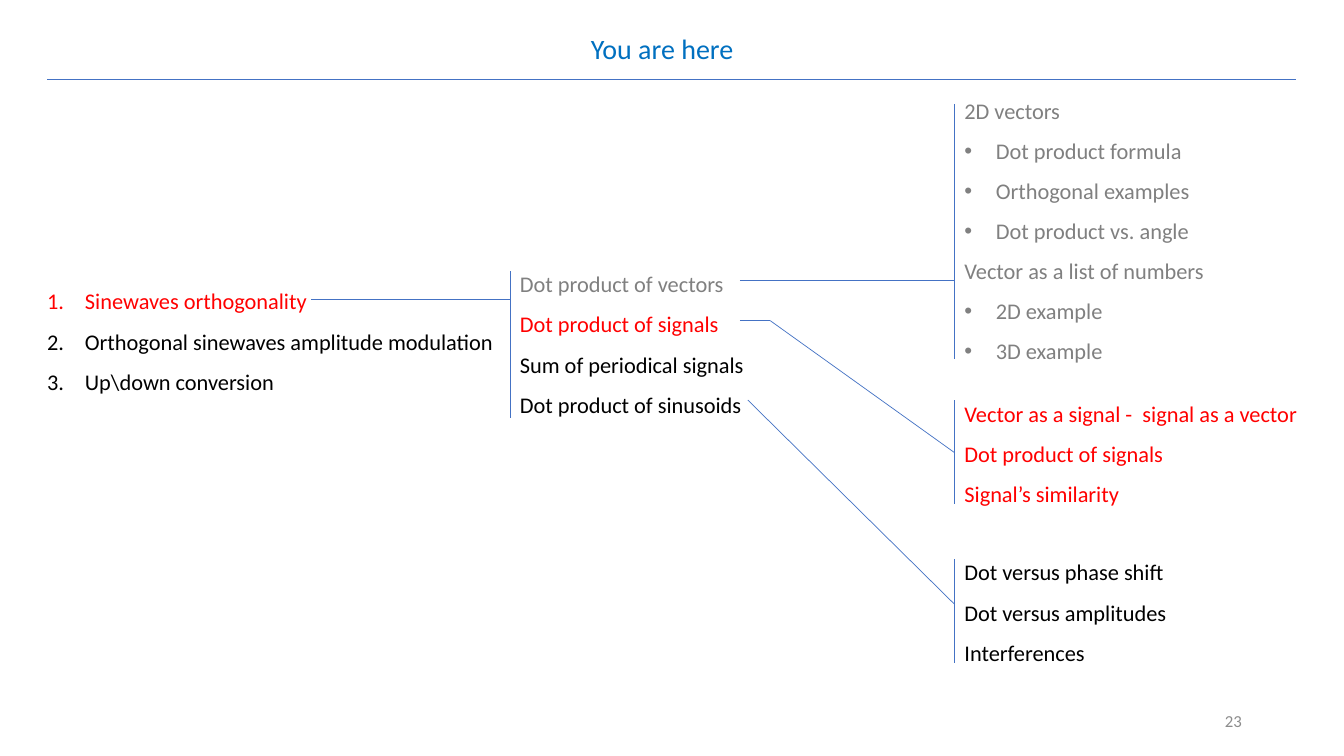
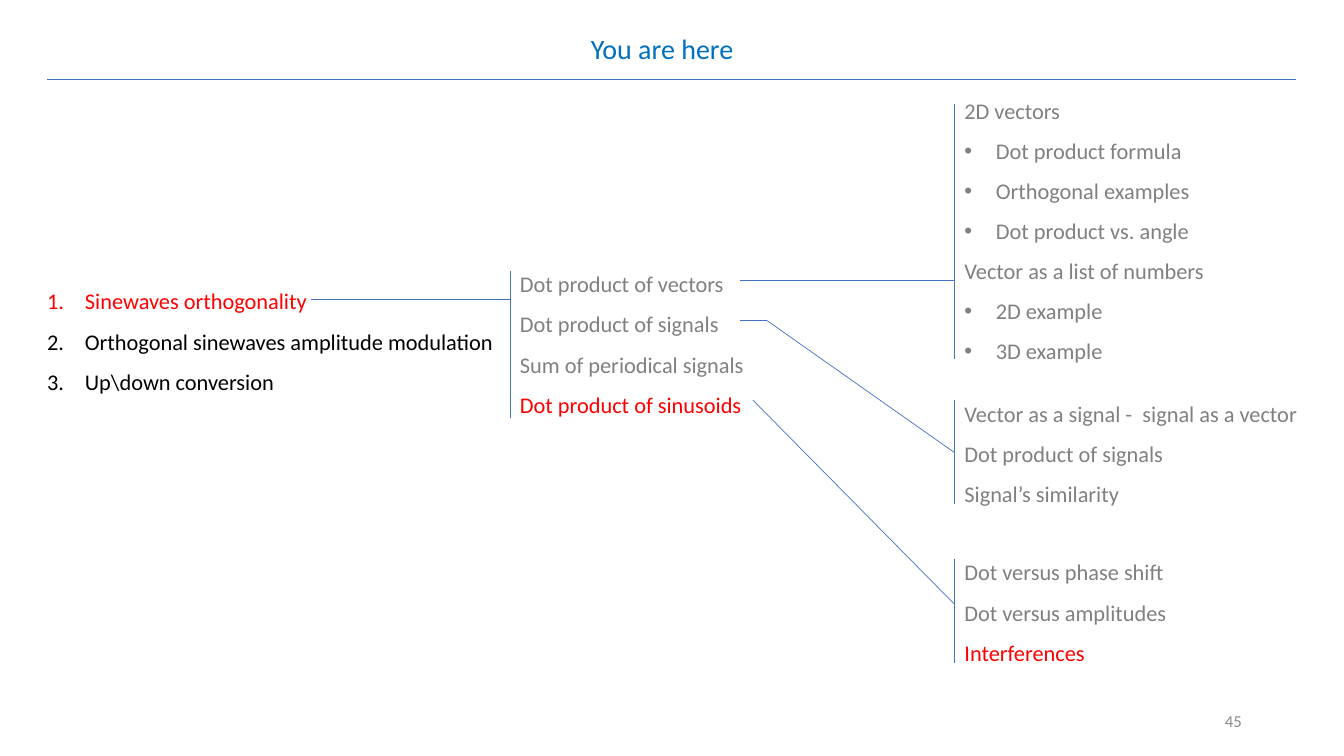
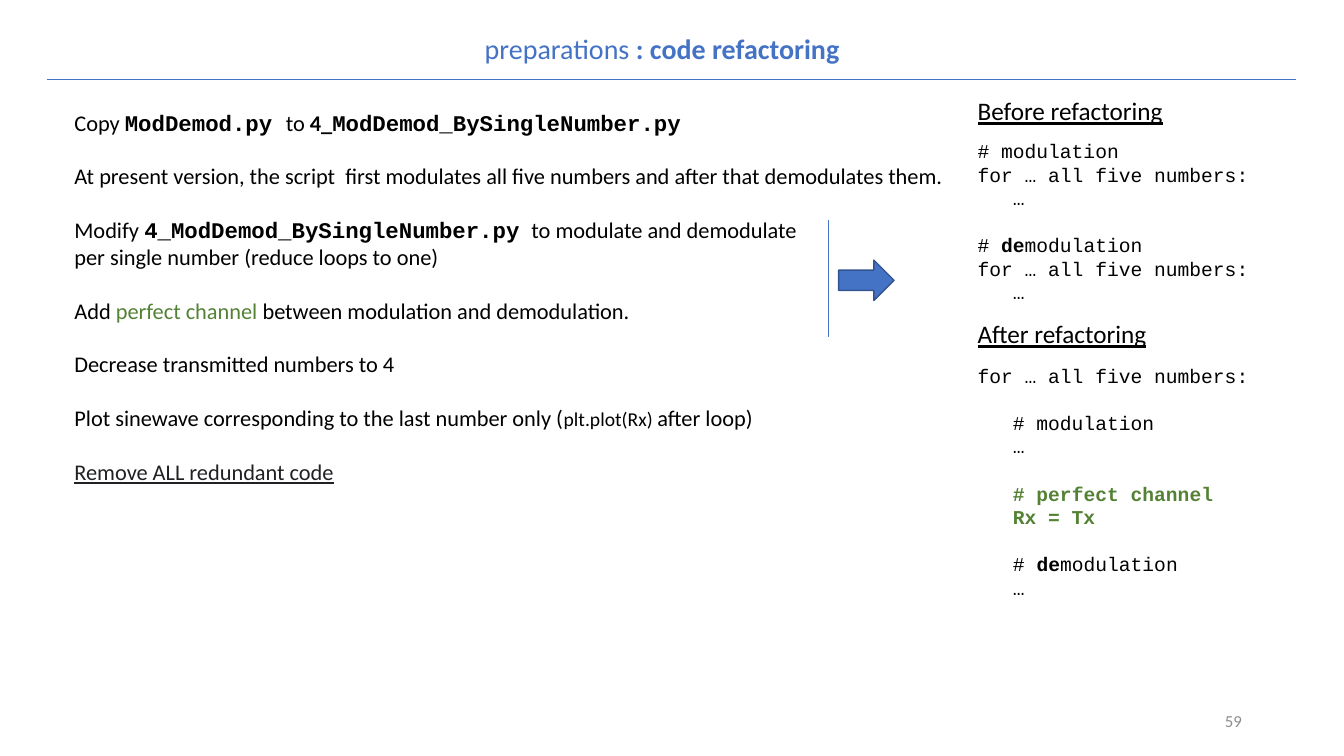
"""Builds two lecture roadmap slides and one code refactoring slide."""
from lxml.etree import SubElement
from pptx import Presentation
from pptx.dml.color import RGBColor
from pptx.enum.shapes import MSO_CONNECTOR as Connector, MSO_SHAPE as Shape
from pptx.enum.text import MSO_ANCHOR as Anchor, MSO_AUTO_SIZE as AutoSize, PP_ALIGN as Align
from pptx.oxml.ns import qn
from pptx.util import Pt

COLORS = {
    "title": "0070C0", "accent": "4472C4", "edge": "325491", "done": "808080",
    "here": "FF0000", "next": "000000", "channel": "548235", "ink": "202124",
    "number": "8C8C8C",
}
SANS, MONO = "Calibri", "Courier New"
BRANCH_X, STEM_X, CODE_X = 681.8, 364.3, 691.2
GAP, CODE_GAP = 19.2, 16.8
BULLETS = {"dot": (22.5, "a:buChar", {"char": "•"}),
           "number": (27, "a:buAutoNum", {"type": "arabicPeriod"})}
LOOSE = {"line_spacing": 1.5}
SPACED = {"line_spacing": 1.07, "space_after": Pt(8)}


def rgb(name):
    return RGBColor.from_string(COLORS[name])


def span(text, **style):
    return text, style


def line(*spans, gap=0, bullet=None):
    return spans, gap, bullet


def add_bullet(para, kind):
    indent, tag, attributes = BULLETS[kind]
    properties = para._p.get_or_add_pPr()
    properties.set("marL", str(Pt(indent)))
    properties.set("indent", str(-Pt(indent)))
    SubElement(properties, qn("a:buFont"), typeface="Arial" if kind == "dot" else "+mj-lt")
    SubElement(properties, qn(tag), attributes)


def add_span(para, text, size, font=SANS, color="next", bold=False, underline=False):
    run = para.add_run()
    run.text = text
    run.font.name, run.font.size = font, Pt(size)
    run.font.bold, run.font.underline = bold, underline
    run.font.color.rgb = rgb(color)


def add_text(page, place, lines, size=16, align=Align.LEFT, spacing=None, grow=True, **base):
    box = page.shapes.add_textbox(*map(Pt, place))
    frame = box.text_frame
    frame.word_wrap = True
    if grow:
        frame.auto_size = AutoSize.SHAPE_TO_FIT_TEXT
    else:
        frame.vertical_anchor = Anchor.MIDDLE
    for index, (spans, gap, bullet) in enumerate(lines):
        para = frame.add_paragraph() if index else frame.paragraphs[0]
        if bullet:
            add_bullet(para, bullet)
        para.alignment = align
        if gap:
            para.space_before = Pt(gap)
        for name, value in (spacing or {}).items():
            setattr(para, name, value)
        for text, style in spans:
            add_span(para, text, **{"size": size, **base, **style})
    return box


def add_line(page, start, end, target=None):
    link = page.shapes.add_connector(Connector.STRAIGHT, *map(Pt, (*start, *end)))
    link.line.color.rgb = rgb("accent")
    link.line.width = Pt(0.5)
    SubElement(link._element.spPr, qn("a:effectLst"))
    if target is not None:
        link.end_connect(target, 1)


def add_page(deck, number, title):
    page = deck.slides.add_slide(deck.slide_layouts[6])
    add_text(page, (26.6, 17.3, 892.8, 32.4), [line(*title)], 20, Align.CENTER, SPACED)
    add_line(page, (33.8, 56.9), (925.9, 56.9))
    add_text(page, (678.2, 500.4, 216, 28.8), [line(span(number))], 12, Align.RIGHT,
             grow=False, color="number")
    return page


def add_list(page, place, items, colors, spacing, bullets=None):
    bullets = bullets or [None] * len(items)
    lines = [line(span(item, color=color), bullet=bullet)
             for item, color, bullet in zip(items, colors, bullets)]
    return add_text(page, place, lines, spacing=spacing)


def add_roadmap(deck, number, part_colors, signal_color, sinusoid_colors, part_width, bend_x, start_x):
    page = add_page(deck, number, [span("You are here", color="title")])
    add_list(page, (26.6, 192.2, 336.2, 91.4),
             ["Sinewaves orthogonality", "Orthogonal sinewaves amplitude modulation",
              "Up\\down conversion"], ["here", "next", "next"], LOOSE, ["number"] * 3)
    add_list(page, (STEM_X, 180, part_width, 120.2),
             ["Dot product of vectors", "Dot product of signals",
              "Sum of periodical signals", "Dot product of sinusoids"], part_colors, LOOSE)
    add_list(page, (BRANCH_X, 64.8, 192.2, 200.2),
             ["2D vectors", "Dot product formula", "Orthogonal examples", "Dot product vs. angle",
              "Vector as a list of numbers", "2D example", "3D example"], ["done"] * 7, SPACED,
             [None, "dot", "dot", "dot", None, "dot", "dot"])
    signals = add_list(page, (BRANCH_X, 280.8, 258.5, 85),
                       ["Vector as a signal -  signal as a vector", "Dot product of signals",
                        "Signal’s similarity"], [signal_color] * 3, SPACED)
    sinusoids = add_list(page, (BRANCH_X, 385.9, 178.6, 91.4),
                         ["Dot versus phase shift", "Dot versus amplitudes", "Interferences"],
                         sinusoid_colors, LOOSE)
    for x, top, bottom in [(STEM_X, 193.7, 298.5), (BRANCH_X, 74.2, 256.3),
                           (BRANCH_X, 285.8, 360), (BRANCH_X, 399.6, 473.8)]:
        add_line(page, (x, top), (x, bottom))
    add_line(page, (222.5, 213.8), (STEM_X, 213.8))
    add_line(page, (528.5, 200.2), (BRANCH_X, 200.2))
    add_line(page, (528.5, 229), (bend_x, 229))
    add_line(page, (bend_x, 229), (BRANCH_X, 323.3), signals)
    add_line(page, (start_x, 285.8), (BRANCH_X, 431.6), sinusoids)


def add_code(page, top, height, heading_top, heading, lines):
    add_text(page, (CODE_X, heading_top, 167, 28.8), [line(span(heading, underline=True))], 18)
    add_text(page, (CODE_X, top, 256.3, height), lines, 14, font=MONO)


def add_refactoring(deck):
    page = add_page(deck, "59", [span("preparations", color="accent"),
                                 span(" : code refactoring", color="accent", bold=True)])
    code = {"font": MONO, "bold": True}
    add_text(page, (46.1, 74.2, 645.8, 278.6), [
        line(span("Copy "), span("ModDemod.py ", **code), span("to "), span("4_", bold=True),
             span("ModDemod_BySingleNumber.py", **code)),
        line(span("At present version, the script  first modulates all five numbers "
                  "and after that demodulates them."), gap=GAP),
        line(span("Modify "), span("4_ModDemod_BySingleNumber.py", **code),
             span(" ", font=MONO, size=14), span("to modulate and demodulate"), gap=GAP),
        line(span("per single number (reduce loops to one)")),
        line(span("Add "), span("perfect channel ", color="channel"),
             span("between modulation and demodulation."), gap=GAP),
        line(span("Decrease transmitted numbers to 4"), gap=GAP),
        line(span("Plot sinewave corresponding to the last number only ("),
             span("plt.plot(Rx) ", size=14), span("after loop)"), gap=GAP),
        line(span("Remove ALL redundant code", color="ink", underline=True), gap=GAP),
    ])
    loop = line(span("for … all five numbers:"))
    body = line(span("   …"))
    demodulation = [span("de", bold=True), span("modulation")]
    green = {"color": "channel", "bold": True}
    add_code(page, 95.8, 126, 64.8, "Before refactoring", [
        line(span("# modulation")), loop, body,
        line(span("# "), *demodulation, gap=CODE_GAP), loop, body,
    ])
    add_code(page, 256.3, 177.1, 223.9, "After refactoring", [
        loop, line(span("   # modulation"), gap=CODE_GAP), body,
        line(span("   "), span("# perfect channel", **green), gap=CODE_GAP),
        line(span("   Rx = Tx", **green)),
        line(span("   # "), *demodulation, gap=CODE_GAP), body,
    ])
    add_line(page, (591.8, 157), (591.8, 240.5))
    arrow = page.shapes.add_shape(Shape.RIGHT_ARROW, *map(Pt, (599, 185.8, 39.6, 28.8)))
    arrow.shadow.inherit = False
    arrow.fill.solid()
    arrow.fill.fore_color.rgb = rgb("accent")
    arrow.line.color.rgb = rgb("edge")
    arrow.line.width = Pt(1)


def main():
    deck = Presentation()
    deck.slide_width, deck.slide_height = Pt(960), Pt(540)
    add_roadmap(deck, "23", ["done", "here", "next", "next"], "here", ["next"] * 3,
                266.4, 550.1, 534.2)
    add_roadmap(deck, "45", ["done", "done", "done", "here"], "done", ["done", "done", "here"],
                183.6, 547.9, 537.8)
    add_refactoring(deck)
    deck.save("out.pptx")


if __name__ == "__main__":
    main()
